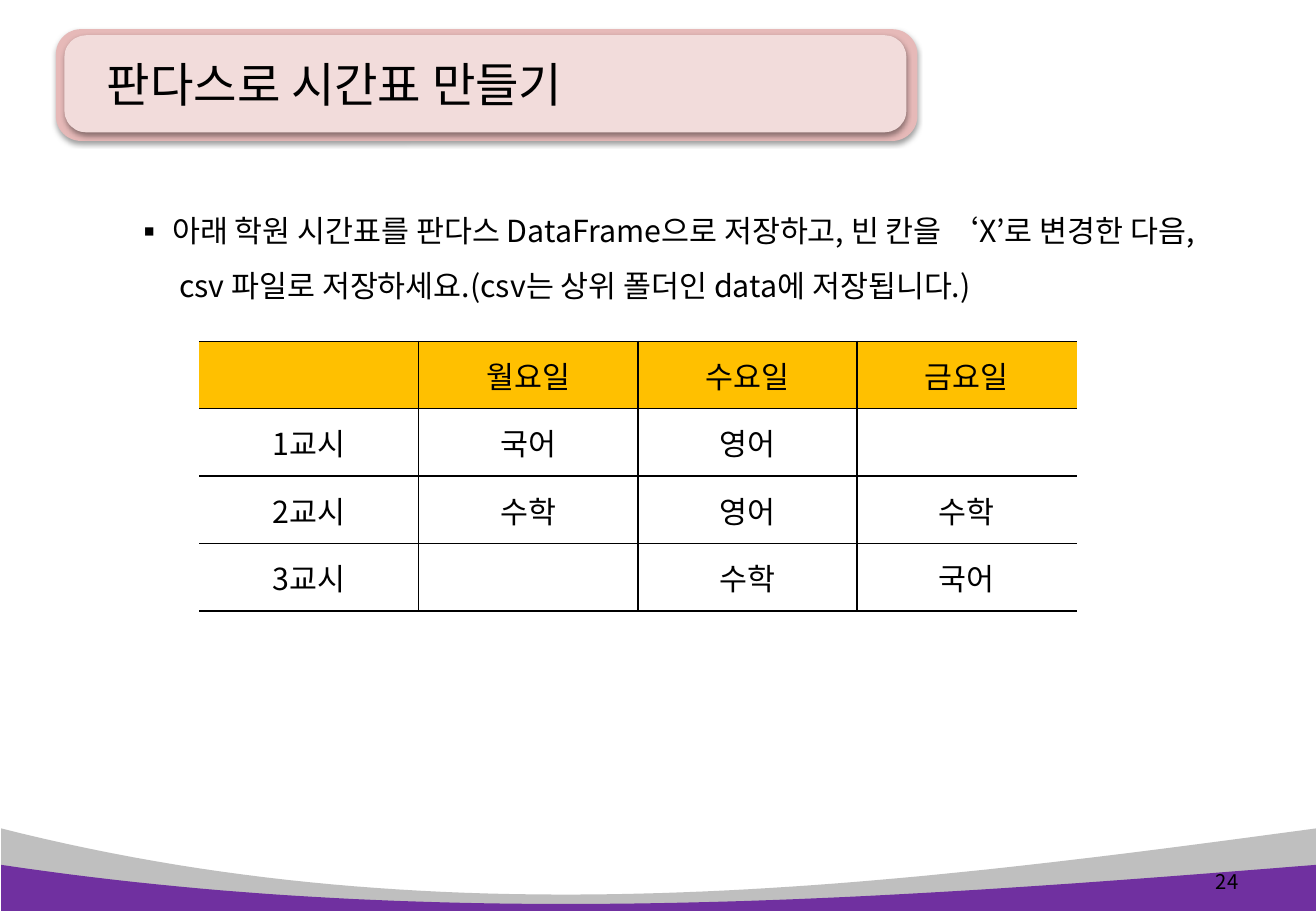
from lxml import etree
from pptx import Presentation
from pptx import util as u
from pptx.dml.color import RGBColor
from pptx.enum import shapes, text
from pptx.oxml import ns, parse_xml

FONT = "Noto Sans CJK KR"
BLACK = "000000"
HEADER_FILL = "FFC000"
SLIDE_WIDTH, SLIDE_HEIGHT = 10.83, 7.5
CURVE_STEPS = 60

TIMETABLE = [
    ["", "월요일", "수요일", "금요일"],
    ["1교시", "국어", "영어", ""],
    ["2교시", "수학", "영어", "수학"],
    ["3교시", "", "수학", "국어"],
]
TASK = ("아래 학원 시간표를 판다스 DataFrame으로 저장하고, 빈 칸을 ‘X’로 변경한 다음, "
        "csv 파일로 저장하세요.(csv는 상위 폴더인 data에 저장됩니다.)")


def color(value):
    return RGBColor.from_string(value)


def apply(target, values):
    for name, value in values.items():
        setattr(target, name, value)


def add_xml(parent, markup):
    root = parse_xml(f'<root {ns.nsdecls("a")}>{markup}</root>')
    for element in list(root):
        parent.append(element)


def paint(shape, fill):
    shape.fill.solid()
    shape.fill.fore_color.rgb = color(fill)
    shape.line.fill.background()
    shape.shadow.inherit = False


def write(para, words, size):
    span = para.add_run()
    span.text = words
    apply(span.font, {"name": FONT, "size": u.Pt(size)})
    span.font.color.rgb = color(BLACK)
    east_asian = etree.SubElement(span.font._element, ns.qn("a:ea"))
    east_asian.set("typeface", FONT)


def add_text(page, place, words, size, frame_format=None, para_format=None):
    box = page.shapes.add_textbox(*map(u.Inches, place))
    apply(box.text_frame, {"word_wrap": True, **(frame_format or {})})
    para = box.text_frame.paragraphs[0]
    apply(para, para_format or {})
    write(para, words, size)
    return para


def add_bullet(para, symbol, indent):
    properties = para._p.get_or_add_pPr()
    properties.set("marL", str(u.Inches(indent)))
    properties.set("indent", str(-u.Inches(indent)))
    add_xml(properties, f'<a:buFont typeface="{FONT}"/><a:buChar char="{symbol}"/>')


def add_title_plate(page, place, fill):
    plate = page.shapes.add_shape(
        shapes.MSO_SHAPE.ROUNDED_RECTANGLE, *map(u.Inches, place))
    plate.adjustments[0] = 0.225
    paint(plate, fill)
    effects = plate._element.spPr.find(ns.qn("a:effectLst"))
    add_xml(effects, f'<a:outerShdw blurRad="{u.Pt(3.1)}" dist="{u.Pt(1.6)}" '
                     f'dir="5400000" rotWithShape="0"><a:srgbClr val="{BLACK}">'
                     '<a:alpha val="38000"/></a:srgbClr></a:outerShdw>')


def bezier(controls, t):
    """Return the point at t on a cubic curve with four control points."""
    weights = ((1 - t) ** 3, 3 * t * (1 - t) ** 2, 3 * t ** 2 * (1 - t), t ** 3)
    return tuple(sum(w * point[axis] for w, point in zip(weights, controls))
                 for axis in (0, 1))


def add_wave(page, controls, fill):
    """Fill the area from a curve down to the bottom of the slide."""
    points = [bezier(controls, step / CURVE_STEPS) for step in range(CURVE_STEPS + 1)]
    points += [(controls[-1][0], SLIDE_HEIGHT), (controls[0][0], SLIDE_HEIGHT)]
    start, *rest = [tuple(map(u.Inches, point)) for point in points]
    builder = page.shapes.build_freeform(*start, scale=1.0)
    builder.add_line_segments(rest, close=True)
    paint(builder.convert_to_shape(), fill)


def set_borders(cell, hidden):
    properties = cell._tc.get_or_add_tcPr()
    for side in "LRTB":
        fill = ("<a:noFill/>" if side in hidden else
                f'<a:solidFill><a:srgbClr val="{BLACK}"/></a:solidFill>')
        add_xml(properties, f'<a:ln{side} w="{u.Pt(1)}">{fill}</a:ln{side}>')


def add_timetable(page, place, rows):
    column_count = len(rows[0])
    frame = page.shapes.add_table(len(rows), column_count, *map(u.Inches, place))
    table = frame.table
    apply(table, {"first_row": False, "horz_banding": False})
    hidden_sides = {0: "L", column_count - 1: "R"}
    for r, row in enumerate(rows):
        for c, words in enumerate(row):
            cell = table.cell(r, c)
            cell.vertical_anchor = text.MSO_ANCHOR.MIDDLE
            set_borders(cell, hidden_sides.get(c, ""))
            if r == 0:
                cell.fill.solid()
                cell.fill.fore_color.rgb = color(HEADER_FILL)
            else:
                cell.fill.background()
            para = cell.text_frame.paragraphs[0]
            para.alignment = text.PP_ALIGN.CENTER
            if words:
                write(para, words, 18)


def main():
    deck = Presentation()
    apply(deck, {"slide_width": u.Inches(SLIDE_WIDTH),
                 "slide_height": u.Inches(SLIDE_HEIGHT)})
    page = deck.slides.add_slide(deck.slide_layouts[6])
    middle = {"vertical_anchor": text.MSO_ANCHOR.MIDDLE}

    add_wave(page, [(0.01, 6.82), (3.67, 7.75), (7.21, 7.31), (10.83, 6.82)], "BFBFBF")
    add_title_plate(page, (0.46, 0.24, 7.09, 0.92), "E6B9B8")
    add_title_plate(page, (0.53, 0.29, 6.93, 0.8), "F2DCDB")
    add_wave(page, [(0.01, 7.12), (3.68, 7.67), (7.22, 7.41), (10.83, 7.12)], "7030A0")

    add_text(page, (0.69, 0.22, 6.78, 0.94), "판다스로 시간표 만들기", 28,
             {**middle, "margin_left": u.Inches(0.19)})
    add_text(page, (9.68, 7.06, 0.61, 0.4), "24", 12, middle,
             {"alignment": text.PP_ALIGN.RIGHT})
    task = add_text(page, (1.01, 1.55, 8.9, 1.01), TASK, 18,
                    para_format={"line_spacing": 1.5})
    add_bullet(task, "▪", 0.31)
    add_timetable(page, (1.64, 2.81, 7.22, 2.22), TIMETABLE)
    deck.save("out.pptx")


if __name__ == "__main__":
    main()
